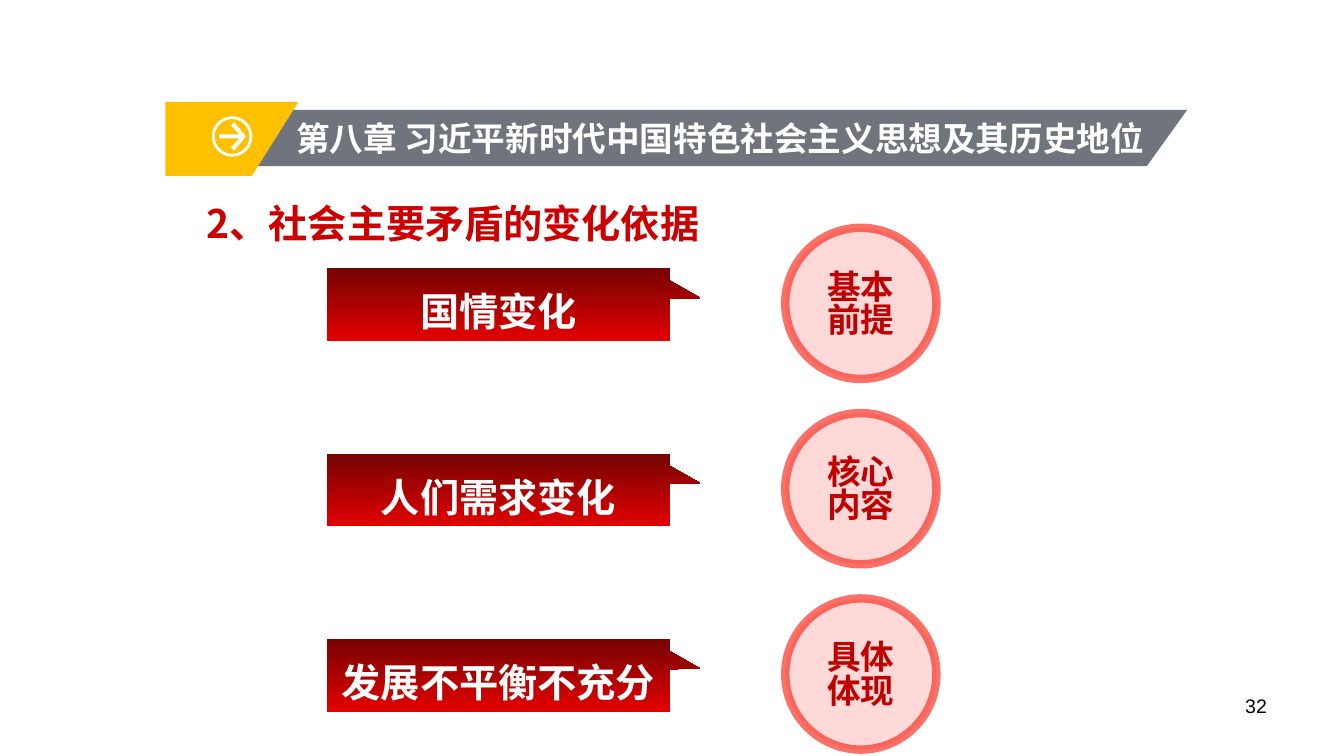
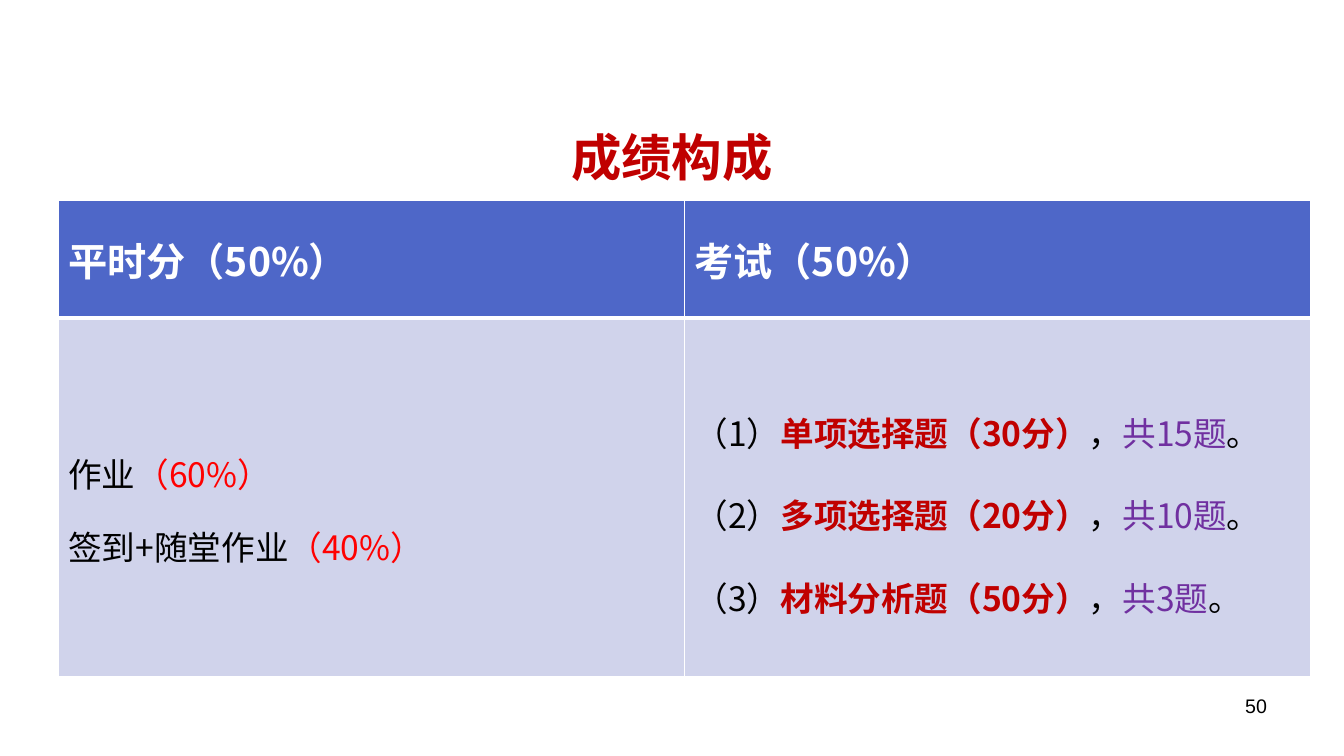
from dataclasses import dataclass

from lxml.etree import SubElement
from pptx import Presentation
from pptx.dml.color import RGBColor
from pptx.enum.shapes import MSO_SHAPE
from pptx.enum.text import MSO_ANCHOR, MSO_AUTO_SIZE, PP_ALIGN
from pptx.oxml.ns import qn
from pptx.util import Cm, Pt

WHITE = RGBColor(0xFF, 0xFF, 0xFF)
BLACK = RGBColor(0x00, 0x00, 0x00)
SLATE = RGBColor(0x70, 0x75, 0x7D)
AMBER = RGBColor(0xFF, 0xC0, 0x00)
HEADING_RED = RGBColor(0xCC, 0x00, 0x00)
DEEP_RED = RGBColor(0xC0, 0x00, 0x00)
BRIGHT_RED = RGBColor(0xFF, 0x00, 0x00)
CALLOUT_DARK = RGBColor(0x76, 0x03, 0x03)
CALLOUT_RED = RGBColor(0xE3, 0x00, 0x00)
RING_RED = RGBColor(0xF8, 0x35, 0x29)
ROSE = RGBColor(0xFE, 0xD7, 0xD4)
PURPLE = RGBColor(0x70, 0x30, 0xA0)
HEADER_BLUE = RGBColor(0x4E, 0x67, 0xC8)
PALE_BLUE = RGBColor(0xD0, 0xD3, 0xEB)

CJK_FONT = "Noto Sans CJK SC"
NUMBER_FONT = "Arial"
NO_MARGINS = dict(margin_left=0, margin_right=0, margin_top=0, margin_bottom=0)


@dataclass
class Box:
    left: float
    top: float
    width: float
    height: float

    def emu(self):
        return Cm(self.left), Cm(self.top), Cm(self.width), Cm(self.height)

    def inner(self, left, top, width, height):
        return Box(self.left + left, self.top + top, width, height)


TITLE_ONLY = 5
PAGE_NUMBER = Box(24.28, 17.35, 7.9, 1.32)
CHAPTER_BANNER = Box(4.17, 2.57, 25.75, 1.86)
EVIDENCE_TITLE = Box(4.95, 4.67, 22.83, 1.3)
EVIDENCE_ROW = Box(8.24, 5.74, 15.36, 3.81)
EVIDENCE_PITCH = 4.67
GRADE_TITLE = Box(12.09, 3.05, 9.68, 1.8)
GRADE_TABLE = Box(1.47, 5.05, 31.56, 11.99)
GRADE_HEADER_HEIGHT = 2.97

EVIDENCE = [
    ("国情变化", ["基本", "前提"]),
    ("人们需求变化", ["核心", "内容"]),
    ("发展不平衡不充分", ["具体", "体现"]),
]
GRADE_HEADERS = ["平时分（50%）", "考试（50%）"]
COURSEWORK = [("作业", "（60%）"), ("签到+随堂作业", "（40%）")]
EXAM = [
    ("单项选择题（30分）", "共15题"),
    ("多项选择题（20分）", "共10题"),
    ("材料分析题（50分）", "共3题"),
]


def apply(target, values):
    for name, value in values.items():
        setattr(target, name, value)


def add_run(paragraph, text, size, color, bold=False, face=CJK_FONT):
    run = paragraph.add_run()
    run.text = text
    apply(run.font, dict(size=Pt(size), bold=bold, name=face))
    run.font.color.rgb = color
    SubElement(run.font._element, qn("a:ea"), typeface=CJK_FONT)


def write_lines(frame, lines, spacing=1.0, align=PP_ALIGN.LEFT):
    for index, runs in enumerate(lines):
        paragraph = frame.add_paragraph() if index else frame.paragraphs[0]
        apply(paragraph, dict(alignment=align, line_spacing=spacing))
        for run in runs:
            add_run(paragraph, *run)


def add_preset(slide, preset, box):
    shape = slide.shapes.add_shape(preset, *box.emu())
    shape.shadow.inherit = False
    shape.line.fill.background()
    return shape


def add_polygon(slide, box, points, color):
    corners = [(Cm(box.left + x), Cm(box.top + y)) for x, y in points]
    builder = slide.shapes.build_freeform(*corners[0])
    builder.add_line_segments(corners[1:], close=True)
    polygon = builder.convert_to_shape()
    polygon.shadow.inherit = False
    polygon.fill.solid()
    polygon.fill.fore_color.rgb = color
    polygon.line.fill.background()


def set_opacity(parent, percent):
    color = parent.find(f"{qn('a:solidFill')}/{qn('a:srgbClr')}")
    SubElement(color, qn("a:alpha"), val=str(percent * 1000))


def add_page_number(slide, box, number):
    label = slide.shapes.add_textbox(*box.emu())
    label.text_frame.word_wrap = True
    write_lines(label.text_frame, [[(number, 14, BLACK, False, NUMBER_FONT)]],
                align=PP_ALIGN.RIGHT)


def add_title(slide, box, text, size, color, spacing, align):
    title = slide.shapes.title
    left, top, width, height = box.emu()
    apply(title, dict(left=left, top=top, width=width, height=height))
    apply(title.text_frame, dict(auto_size=MSO_AUTO_SIZE.NONE, word_wrap=True,
                                 vertical_anchor=MSO_ANCHOR.MIDDLE))
    write_lines(title.text_frame, [[(text, size, color, True)]], spacing, align)


def add_arrow_icon(slide, box):
    ring = add_preset(slide, MSO_SHAPE.DONUT, box)
    ring.adjustments[0] = 0.07
    ring.fill.solid()
    ring.fill.fore_color.rgb = WHITE
    middle = box.height / 2
    upper = [(0.18, -0.05), (0.69, -0.05), (0.48, -0.28), (0.56, -0.36)]
    lower = [(x, -y) for x, y in reversed(upper)]
    points = upper + [(0.86, 0)] + lower
    add_polygon(slide, box, [(x, middle + y) for x, y in points], WHITE)


def add_chapter_banner(slide, box, text):
    band = box.inner(0.2, 0.2, box.width - 0.2, 1.42)
    add_polygon(slide, band,
                [(0, 0), (band.width, 0), (band.width - 1.02, band.height), (0, band.height)],
                SLATE)
    add_polygon(slide, box, [(0, 0), (3.35, 0), (2.18, box.height), (0, box.height)], AMBER)
    add_arrow_icon(slide, box.inner(1.17, 0.36, 1.02, 1.02))
    chapter = slide.shapes.add_textbox(*box.inner(3.3, 0.2, 21.5, band.height).emu())
    apply(chapter.text_frame, dict(NO_MARGINS, word_wrap=False,
                                   vertical_anchor=MSO_ANCHOR.MIDDLE))
    write_lines(chapter.text_frame, [[(text, 24, WHITE, True)]])


def add_evidence_row(slide, box, change, role):
    callout = add_preset(slide, MSO_SHAPE.RECTANGULAR_CALLOUT, box.inner(0, 1.02, 8.64, 1.83))
    callout.adjustments[0] = 0.59
    callout.adjustments[1] = -0.09
    callout.fill.gradient()
    callout.fill.gradient_angle = 270
    for stop, color in zip(callout.fill.gradient_stops, (CALLOUT_DARK, CALLOUT_RED)):
        stop.color.rgb = color
    apply(callout.text_frame, dict(NO_MARGINS, margin_top=Cm(0.1), word_wrap=True,
                                   vertical_anchor=MSO_ANCHOR.MIDDLE))
    write_lines(callout.text_frame, [[(change, 28, WHITE, True, NUMBER_FONT)]],
                1.2, PP_ALIGN.CENTER)

    diameter = box.height
    circle = add_preset(slide, MSO_SHAPE.OVAL,
                        box.inner(box.width - diameter, 0, diameter, diameter))
    circle.fill.solid()
    circle.fill.fore_color.rgb = ROSE
    circle.line.color.rgb = RING_RED
    circle.line.width = Pt(6)
    properties = circle._element.spPr
    set_opacity(properties, 93)
    set_opacity(properties.find(qn("a:ln")), 69)
    apply(circle.text_frame, dict(NO_MARGINS, margin_top=Cm(0.12), word_wrap=True,
                                  vertical_anchor=MSO_ANCHOR.MIDDLE))
    write_lines(circle.text_frame, [[(line, 24, DEEP_RED, True)] for line in role],
                0.83, PP_ALIGN.CENTER)


def format_cell(cell, lines, spacing, fill, borders):
    properties = cell._tc.get_or_add_tcPr()
    for side, width in borders.items():
        edge = SubElement(properties, qn(f"a:ln{side}"), w=str(Pt(width)))
        SubElement(SubElement(edge, qn("a:solidFill")), qn("a:srgbClr"), val=str(WHITE))
    cell.fill.solid()
    cell.fill.fore_color.rgb = fill
    cell.vertical_anchor = MSO_ANCHOR.MIDDLE
    write_lines(cell.text_frame, lines, spacing)


def add_grade_table(slide, box):
    grades = slide.shapes.add_table(2, 2, *box.emu()).table
    grades.horz_banding = False
    for column in grades.columns:
        column.width = Cm(box.width / 2)
    grades.rows[0].height = Cm(GRADE_HEADER_HEIGHT)
    grades.rows[1].height = Cm(box.height - GRADE_HEADER_HEIGHT)
    for column, header in enumerate(GRADE_HEADERS):
        format_cell(grades.cell(0, column), [[(header, 28, WHITE, True)]], 1.0,
                    HEADER_BLUE, dict(L=1, R=1, T=1, B=3))
    coursework = [[(part, 24, BLACK), (share, 24, BRIGHT_RED)] for part, share in COURSEWORK]
    exam = [
        [(f"（{number}）", 24, BLACK), (section, 24, DEEP_RED, True), ("，", 24, BLACK),
         (count, 24, PURPLE), ("。", 24, BLACK)]
        for number, (section, count) in enumerate(EXAM, 1)
    ]
    for column, (lines, spacing) in enumerate([(coursework, 1.5), (exam, 1.7)]):
        format_cell(grades.cell(1, column), lines, spacing,
                    PALE_BLUE, dict(L=1, R=1, T=3, B=1))


def add_page(deck, number):
    slide = deck.slides.add_slide(deck.slide_layouts[TITLE_ONLY])
    add_page_number(slide, PAGE_NUMBER, number)
    return slide


def build_evidence_slide(deck):
    slide = add_page(deck, "32")
    add_chapter_banner(slide, CHAPTER_BANNER, "第八章 习近平新时代中国特色社会主义思想及其历史地位")
    add_title(slide, EVIDENCE_TITLE, "2、社会主要矛盾的变化依据", 28, HEADING_RED,
              1.5, PP_ALIGN.LEFT)
    for index, (change, role) in enumerate(EVIDENCE):
        row = EVIDENCE_ROW.inner(0, index * EVIDENCE_PITCH,
                                 EVIDENCE_ROW.width, EVIDENCE_ROW.height)
        add_evidence_row(slide, row, change, role)


def build_grade_slide(deck):
    slide = add_page(deck, "50")
    add_title(slide, GRADE_TITLE, "成绩构成", 36, DEEP_RED, 1.0, PP_ALIGN.CENTER)
    add_grade_table(slide, GRADE_TABLE)


def main():
    deck = Presentation()
    apply(deck, dict(slide_width=Cm(33.87), slide_height=Cm(19.05)))
    build_evidence_slide(deck)
    build_grade_slide(deck)
    deck.save("out.pptx")


if __name__ == "__main__":
    main()
